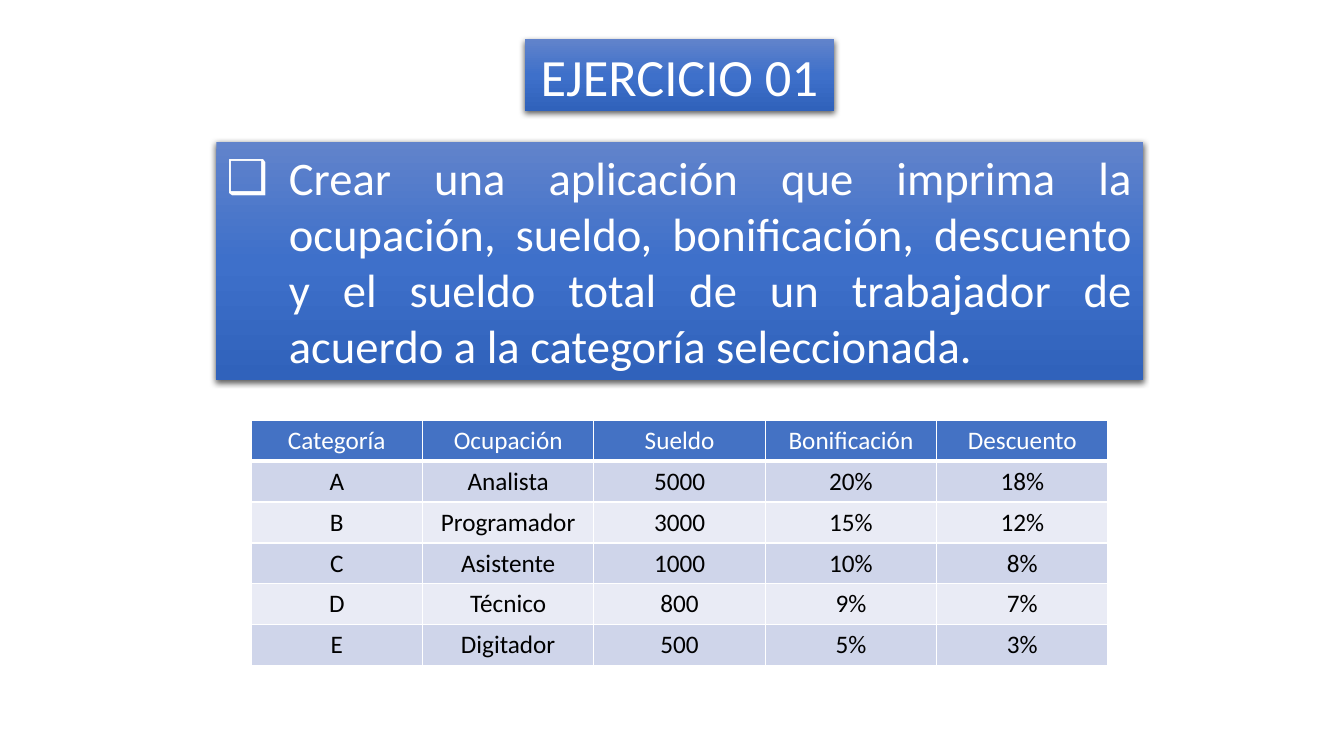
"""Build the exercise slide: a title banner, a task statement and a table of pay categories."""
import pptx
import pptx.dml.color
import pptx.enum.text
import pptx.oxml
import pptx.oxml.ns
import pptx.util

TITLE = "EJERCICIO 01"
TASK = ("Crear una aplicación que imprima la ocupación, sueldo, bonificación, descuento "
        "y el sueldo total de un trabajador de acuerdo a la categoría seleccionada.")
PAY_ROWS = [
    ("Categoría", "Ocupación", "Sueldo", "Bonificación", "Descuento"),
    ("A", "Analista", "5000", "20%", "18%"),
    ("B", "Programador", "3000", "15%", "12%"),
    ("C", "Asistente", "1000", "10%", "8%"),
    ("D", "Técnico", "800", "9%", "7%"),
    ("E", "Digitador", "500", "5%", "3%"),
]

COLORS = {"top": "6183CB", "middle": "3E70CA", "bottom": "3062BB", "shadow": "000000",
          "header": "4472C4", "odd": "CFD5EA", "even": "E9EBF5", "white": "FFFFFF", "black": "000000"}
FONT = "Calibri"
CENTER = 6.74
COLUMN, ROW = 1.7, 0.405
TABLE_TOP = 4.17
INDENT = 0.62
ALIGN = pptx.enum.text.PP_ALIGN
BANNERS = [
    (TITLE, (0.39, 3.07, 0.71), 37.4, ALIGN.CENTER),
    (TASK, (1.41, 9.19, 2.36), 33.3, ALIGN.JUSTIFY),
]
NAMESPACE = pptx.oxml.ns.nsdecls("a")


def set_all(target, values):
    for name, value in values.items():
        setattr(target, name, value)


def write(paragraph, text, size, color, align):
    set_all(paragraph, {"alignment": align, "line_spacing": 1.0, "space_before": pptx.util.Pt(0)})
    span = paragraph.add_run()
    span.text = text
    set_all(span.font, {"name": FONT, "size": pptx.util.Pt(size), "bold": False})
    span.font.color.rgb = pptx.dml.color.RGBColor.from_string(COLORS[color])


def add_banner_style(box):
    stops = "".join(f'<a:gs pos="{position}"><a:srgbClr val="{COLORS[name]}"/></a:gs>'
                    for position, name in ((0, "top"), (50000, "middle"), (100000, "bottom")))
    properties = box.element.spPr
    properties.append(pptx.oxml.parse_xml(
        f'<a:prstGeom {NAMESPACE} prst="rect"><a:avLst/></a:prstGeom>'))
    properties.append(pptx.oxml.parse_xml(
        f'<a:gradFill {NAMESPACE} rotWithShape="1"><a:gsLst>{stops}</a:gsLst>'
        '<a:lin ang="5400000" scaled="0"/></a:gradFill>'))
    properties.append(pptx.oxml.parse_xml(
        f'<a:effectLst {NAMESPACE}><a:outerShdw blurRad="57150" dist="19050" dir="5400000" '
        f'algn="ctr" rotWithShape="0"><a:srgbClr val="{COLORS["shadow"]}">'
        '<a:alpha val="63000"/></a:srgbClr></a:outerShdw></a:effectLst>'))


def fill_banner(box, text, place, size, align):
    top, width, height = (pptx.util.Inches(length) for length in place)
    left = pptx.util.Inches(CENTER) - width // 2
    set_all(box, {"left": left, "top": top, "width": width, "height": height})
    add_banner_style(box)
    set_all(box.text_frame, {"word_wrap": True,
                             "auto_size": pptx.enum.text.MSO_AUTO_SIZE.NONE,
                             "vertical_anchor": pptx.enum.text.MSO_ANCHOR.MIDDLE})
    write(box.text_frame.paragraphs[0], text, size, "white", align)


def add_bullet(paragraph):
    properties = paragraph._p.get_or_add_pPr()
    indent = pptx.util.Inches(INDENT)
    properties.set("marL", str(indent))
    properties.set("indent", str(-indent))
    for element in (f'<a:buFont {NAMESPACE} typeface="{FONT}"/>',
                    f'<a:buChar {NAMESPACE} char="❑"/>'):
        properties.append(pptx.oxml.parse_xml(element))


def add_borders(cell, bottom):
    properties = cell._tc.get_or_add_tcPr()
    for side, width in (("L", 1), ("R", 1), ("T", 1), ("B", bottom)):
        properties.append(pptx.oxml.parse_xml(
            f'<a:ln{side} {NAMESPACE} w="{pptx.util.Pt(width)}"><a:solidFill>'
            f'<a:srgbClr val="{COLORS["white"]}"/></a:solidFill></a:ln{side}>'))


def add_pay_table(page):
    rows, columns = len(PAY_ROWS), len(PAY_ROWS[0])
    width, height = columns * COLUMN, rows * ROW
    place = (CENTER - width / 2, TABLE_TOP, width, height)
    table = page.shapes.add_table(rows, columns, *map(pptx.util.Inches, place)).table
    for row, values in enumerate(PAY_ROWS):
        shade = "header" if row == 0 else "odd" if row % 2 else "even"
        for column, value in enumerate(values):
            cell = table.cell(row, column)
            add_borders(cell, 1 if row else 3)
            cell.fill.solid()
            cell.fill.fore_color.rgb = pptx.dml.color.RGBColor.from_string(COLORS[shade])
            write(cell.text_frame.paragraphs[0], value, 18, "black" if row else "white", ALIGN.CENTER)


def main():
    deck = pptx.Presentation()
    set_all(deck, {"slide_width": pptx.util.Inches(13.33), "slide_height": pptx.util.Inches(7.5)})
    page = deck.slides.add_slide(deck.slide_layouts[1])
    title, task = page.placeholders
    for box, banner in zip((title, task), BANNERS):
        fill_banner(box, *banner)
    add_bullet(task.text_frame.paragraphs[0])
    add_pay_table(page)
    deck.save("out.pptx")


if __name__ == "__main__":
    main()
